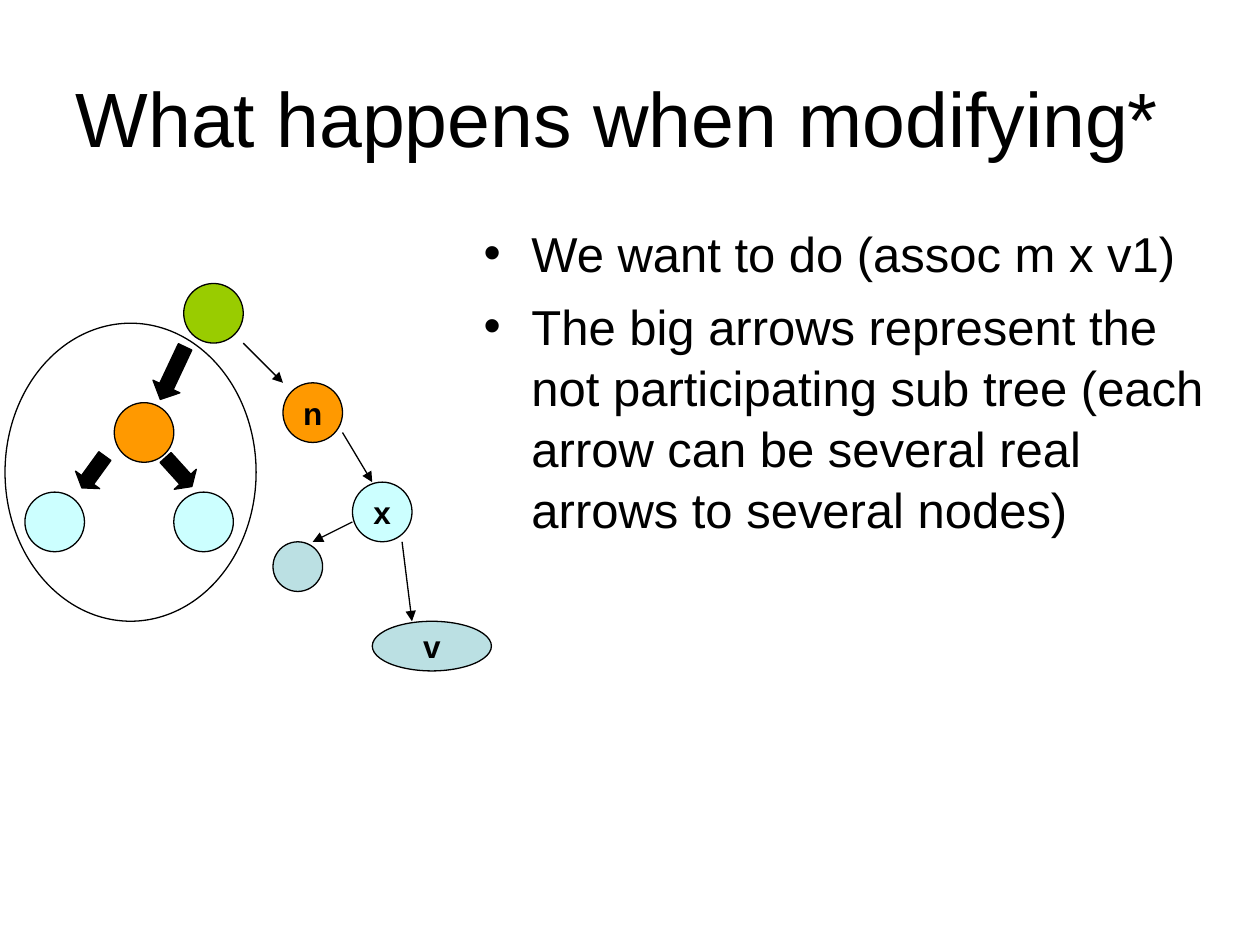
from dataclasses import dataclass

from lxml.etree import SubElement
from pptx import Presentation
from pptx.dml.color import RGBColor
from pptx.enum.shapes import MSO_CONNECTOR, MSO_SHAPE
from pptx.enum.text import MSO_ANCHOR, MSO_AUTO_SIZE, PP_ALIGN
from pptx.oxml.ns import qn
from pptx.util import Inches, Pt

WIDTH, HEIGHT = 10, 7.5
FONT = "Arial"
COLORS = {
    "black": "000000",
    "white": "FFFFFF",
    "root": "99CC00",
    "branch": "FF9900",
    "key": "CCFFFF",
    "value": "BBE0E3",
}
TREE_COLUMNS, TREE_ROWS = 49, 39

NODES = [
    (18, 0, 6, 6, "root", ""),
    (28, 10, 6, 6, "branch", "n"),
    (35, 20, 6, 6, "key", "x"),
    (11, 12, 6, 6, "branch", ""),
    (2, 21, 6, 6, "key", ""),
    (17, 21, 6, 6, "key", ""),
    (37, 34, 12, 5, "value", "v"),
    (27, 26, 5, 5, "value", ""),
    (0, 4, 25.3, 30, None, ""),
]
BLOCK_ARROWS = [
    (15.4, 6.1, 3, 5.85, 25.2, 0.48),
    (7.4, 17, 3, 3.95, 35.9, 0.33),
    (16, 17, 3, 3.95, 317.8, 0.33),
]
LINKS = [
    (24, 6, 28, 10),
    (34, 15, 37, 20),
    (40, 26, 41, 34),
    (35, 24, 31, 26),
]
POINTS = [
    "We want to do (assoc m x v1)",
    "The big arrows represent the not participating sub tree "
    "(each arrow can be several real arrows to several nodes)",
]


@dataclass
class Box:
    left: float
    top: float
    width: float
    height: float

    def share(self, left, top, width, height):
        return Box(
            self.left + left * self.width,
            self.top + top * self.height,
            width * self.width,
            height * self.height,
        )

    def cell(self, column, row, columns=0, rows=0):
        return self.share(
            column / TREE_COLUMNS,
            row / TREE_ROWS,
            columns / TREE_COLUMNS,
            rows / TREE_ROWS,
        )

    def lengths(self):
        return [Inches(value) for value in (self.left, self.top, self.width, self.height)]


def color(name):
    return RGBColor.from_string(COLORS[name])


def add_bullet(paragraph, indent):
    properties = paragraph._p.get_or_add_pPr()
    properties.set("marL", str(Inches(indent)))
    properties.set("indent", str(-Inches(indent)))
    SubElement(properties, qn("a:buFont"), typeface=FONT)
    SubElement(properties, qn("a:buChar"), char="•")


def write(frame, paragraphs, size, bold=False, align=PP_ALIGN.LEFT, anchor=MSO_ANCHOR.TOP,
          wrap=True, bullet_indent=None, gap=0, spacing=None):
    frame.word_wrap = wrap
    frame.auto_size = MSO_AUTO_SIZE.NONE
    frame.vertical_anchor = anchor
    frame.margin_left = frame.margin_right = Inches(0.1)
    frame.margin_top = frame.margin_bottom = Inches(0.05)
    for index, text in enumerate(paragraphs):
        paragraph = frame.add_paragraph() if index else frame.paragraphs[0]
        if bullet_indent:
            add_bullet(paragraph, bullet_indent)
        paragraph.alignment = align
        paragraph.space_before = Pt(gap if index else 0)
        if spacing:
            paragraph.line_spacing = spacing
        run = paragraph.add_run()
        run.text = text
        run.font.name = FONT
        run.font.size = Pt(size)
        run.font.bold = bold
        run.font.color.rgb = color("black")


def add_outlined(slide, kind, box, fill):
    shape = slide.shapes.add_shape(kind, *box.lengths())
    shape.shadow.inherit = False
    if fill:
        shape.fill.solid()
        shape.fill.fore_color.rgb = color(fill)
    else:
        shape.fill.background()
    shape.line.color.rgb = color("black")
    shape.line.width = Pt(0.75)
    return shape


def add_link(slide, start, end):
    points = [Inches(value) for value in (start.left, start.top, end.left, end.top)]
    connector = slide.shapes.add_connector(MSO_CONNECTOR.STRAIGHT, *points)
    connector.line.color.rgb = color("black")
    connector.line.width = Pt(0.75)
    SubElement(connector.line._get_or_add_ln(), qn("a:tailEnd"), type="triangle")
    SubElement(connector._element.spPr, qn("a:effectLst"))


def place_title(slide, box):
    title = slide.shapes.title
    title.left, title.top, title.width, title.height = box.lengths()
    write(title.text_frame, ["What happens when modifying*"], size=44, anchor=MSO_ANCHOR.MIDDLE)


def place_points(slide, box):
    frame = slide.shapes.add_textbox(*box.lengths()).text_frame
    write(frame, POINTS, size=28, bullet_indent=0.38, gap=7, spacing=1.04)


def place_tree(slide, box):
    for *cell, fill, label in NODES:
        node = add_outlined(slide, MSO_SHAPE.OVAL, box.cell(*cell), fill)
        if label:
            write(node.text_frame, [label], size=18, bold=True, align=PP_ALIGN.CENTER,
                  anchor=MSO_ANCHOR.MIDDLE, wrap=False)
    for *cell, rotation, head in BLOCK_ARROWS:
        arrow = add_outlined(slide, MSO_SHAPE.DOWN_ARROW, box.cell(*cell), "black")
        arrow.rotation = rotation
        arrow.adjustments[0] = 0.5
        arrow.adjustments[1] = head
    for start_column, start_row, end_column, end_row in LINKS:
        add_link(slide, box.cell(start_column, start_row), box.cell(end_column, end_row))


def main():
    presentation = Presentation()
    presentation.slide_width = Inches(WIDTH)
    presentation.slide_height = Inches(HEIGHT)
    slide = presentation.slides.add_slide(presentation.slide_layouts.get_by_name("Title Only"))
    slide.background.fill.solid()
    slide.background.fill.fore_color.rgb = color("white")
    page = Box(0, 0, WIDTH, HEIGHT)
    place_title(slide, page.share(0.05, 0.04, 0.9, 1 / 6))
    place_points(slide, page.share(0.374, 0.227, 0.607, 0.66))
    place_tree(slide, page.share(0.004, 0.3, 0.386, 0.41))
    presentation.save("out.pptx")


if __name__ == "__main__":
    main()
